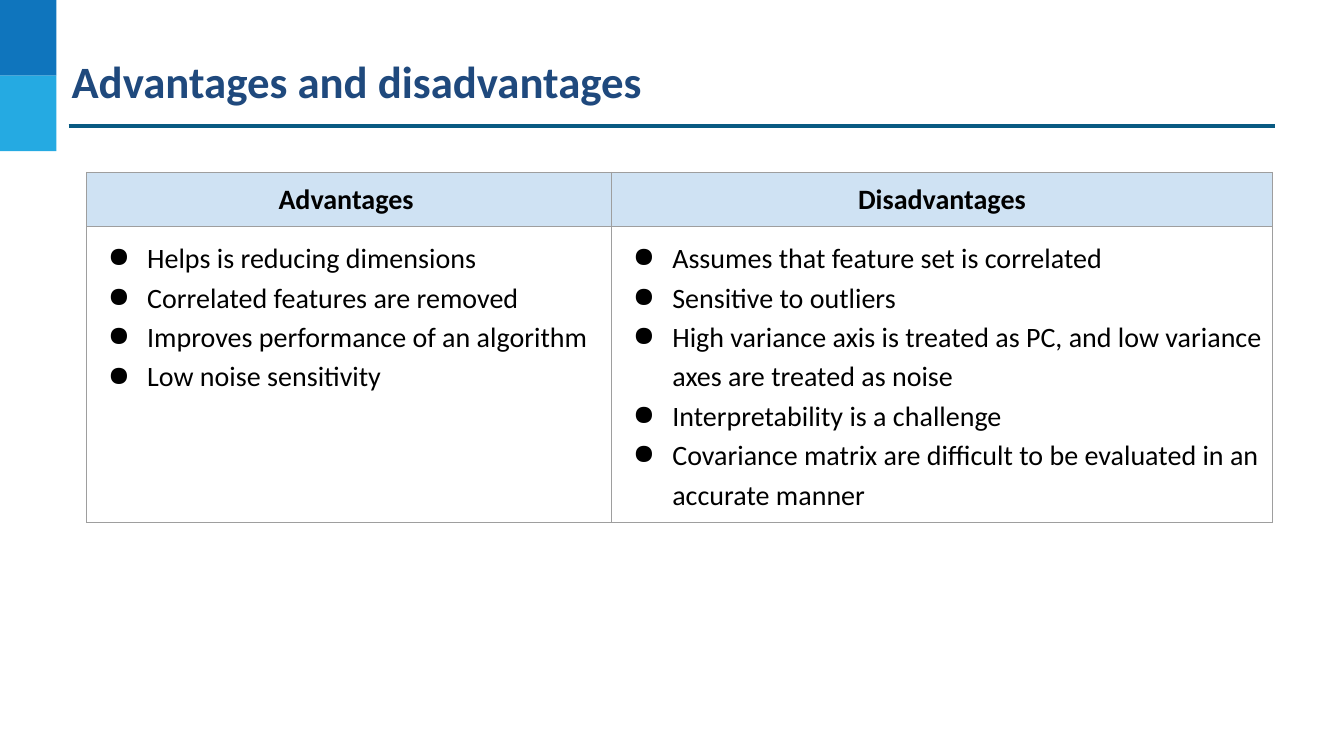
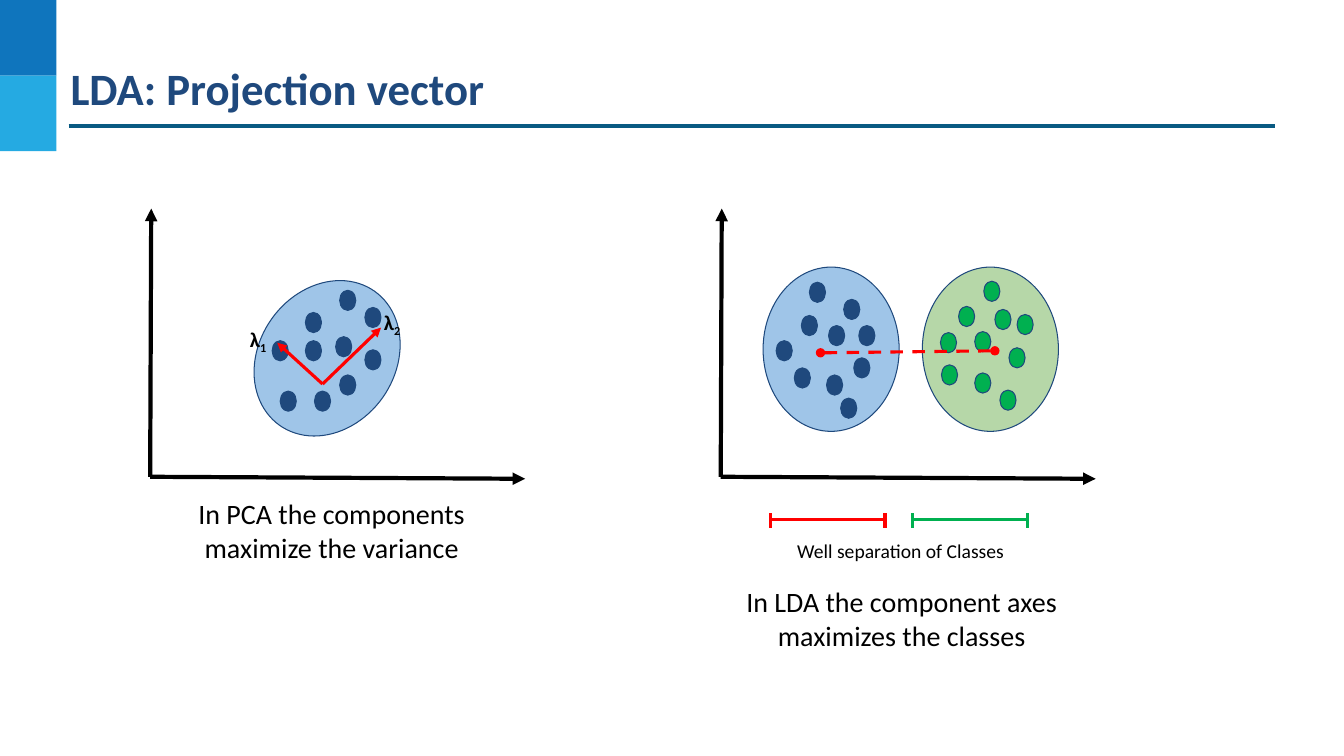
import lxml.etree
import pptx
import pptx.dml.color
import pptx.enum.dml
import pptx.enum.shapes
import pptx.enum.text
import pptx.oxml.ns
import pptx.util

COLOURS = {
    "title": "1F497D", "band_top": "0F75BD", "band_low": "25AAE2", "rule": "095A82",
    "black": "000000", "header": "CFE2F3", "border": "9E9E9E",
    "blue_class": "9FC5E8", "green_class": "B6D7A8", "red": "FF0000", "green": "00B050",
}
FONT = "Calibri"
SHAPES = pptx.enum.shapes.MSO_SHAPE
ALIGN = pptx.enum.text.PP_ALIGN
# The grid has ten columns and ten rows to the inch
CELL = pptx.util.Inches(0.1)


def grid(*lengths):
    return [round(length * CELL) for length in lengths]


def colour(name):
    return pptx.dml.color.RGBColor.from_string(COLOURS[name])


def add_xml(parent, tag, **attributes):
    return lxml.etree.SubElement(parent, pptx.oxml.ns.qn(tag), attributes)


class Deck:
    """Holds the shared style and the current page."""

    def __init__(self):
        self.deck = pptx.Presentation()
        self.deck.slide_width, self.deck.slide_height = grid(133.33, 75)
        self.page = None

    def new_page(self, title, left, top):
        self.page = self.deck.slides.add_slide(self.deck.slide_layouts[5])
        # Side bands and title rule
        for row, name in enumerate(("band_top", "band_low")):
            self.shape(SHAPES.RECTANGLE, 0, 7.5 * row, 5.6, 7.5, name)
        self.line((6.8, 12.5), (126.5, 12.5), "rule")
        box = self.page.shapes.title
        box.left, box.top, box.width, box.height = grid(left, top, 119.7, 5.4)
        self.set_text(box.text_frame, [title], 32, "title", bold=True, margin=0.2)

    def set_text(self, frame, lines, size, name="black", bold=False, align=ALIGN.LEFT,
                 margin=1, bullets=False):
        """Each line is a text, or a (text, subscript) pair."""
        frame.word_wrap = True
        frame.auto_size = pptx.enum.text.MSO_AUTO_SIZE.NONE
        frame.vertical_anchor = pptx.enum.text.MSO_ANCHOR.TOP
        (frame.margin_left, frame.margin_top,
         frame.margin_right, frame.margin_bottom) = grid(*[margin] * 4)
        for index, line in enumerate(lines):
            para = frame.add_paragraph() if index else frame.paragraphs[0]
            text, subscript = (line, None) if isinstance(line, str) else line
            para.add_run().text = text
            if subscript:
                span = para.add_run()
                span.text = subscript
                span.font._element.set("baseline", "-25000")
            para.alignment = align
            if bullets:
                self.bullet(para)
            para.font.name, para.font.size = FONT, pptx.util.Pt(size)
            para.font.bold = bold
            para.font.color.rgb = colour(name)

    def bullet(self, para):
        para.line_spacing = 1.15
        properties = para._p.get_or_add_pPr()
        indent, hang = grid(5, -3.9)
        properties.set("marL", str(indent))
        properties.set("indent", str(hang))
        add_xml(add_xml(properties, "a:buClr"), "a:srgbClr", val=COLOURS["black"])
        add_xml(properties, "a:buChar", char="●")

    def text(self, left, top, width, height, line, size, **style):
        box = self.page.shapes.add_textbox(*grid(left, top, width, height))
        self.set_text(box.text_frame, [line], size, **style)

    def shape(self, kind, left, top, width, height, fill, outline=None, turn=0):
        shape = self.page.shapes.add_shape(kind, *grid(left, top, width, height))
        shape.shadow.inherit = False
        shape.rotation = turn
        shape.fill.solid()
        shape.fill.fore_color.rgb = colour(fill)
        if outline:
            shape.line.color.rgb = colour(outline)
            shape.line.width = pptx.util.Pt(0.75)
        else:
            shape.line.fill.background()

    def line(self, start, end, name, width=2.25, head=None, tail=None, dashed=False):
        connector = self.page.shapes.add_connector(
            pptx.enum.shapes.MSO_CONNECTOR.STRAIGHT, *grid(*start, *end))
        connector.line.color.rgb = colour(name)
        connector.line.width = pptx.util.Pt(width)
        if dashed:
            connector.line.dash_style = pptx.enum.dml.MSO_LINE.DASH
        outline = connector.line._get_or_add_ln()
        for tag, kind in (("a:headEnd", head), ("a:tailEnd", tail)):
            if kind:
                add_xml(outline, tag, type=kind)
        add_xml(connector._element.spPr, "a:effectLst")

    def axes(self, left):
        origin = (left, 47.3)
        for tip in ((left + 0.1, 20.7), (left + 37.2, 47.5)):
            self.line(origin, tip, "black", 3, tail="triangle")

    def oval(self, left, top, fill, turn=0):
        self.shape(SHAPES.OVAL, left, top, 13.5, 16.3, fill, "title", turn)

    def dots(self, places, fill):
        for left, top in places:
            self.shape(SHAPES.OVAL, left, top, 1.6, 2, fill, "title")

    def interval(self, left, name, length=11.4):
        right = left + length
        self.line((left, 51.5), (right, 51.5), name)
        for end in (left, right):
            self.line((end, 50.9), (end, 52.4), name)

    def table(self, left, top, columns, rows, headings, lists):
        table = self.page.shapes.add_table(
            len(rows), len(columns),
            *grid(left, top, sum(columns), sum(rows))).table
        table.horz_banding = False
        for row, height in zip(table.rows, grid(*rows)):
            row.height = height
        for index, width in enumerate(grid(*columns)):
            table.columns[index].width = width
            header, body = table.cell(0, index), table.cell(1, index)
            self.cell(header, [headings[index]], bold=True, align=ALIGN.CENTER)
            header.fill.solid()
            header.fill.fore_color.rgb = colour("header")
            self.cell(body, lists[index], bullets=True)
            body.fill.background()

    def cell(self, cell, lines, **style):
        self.set_text(cell.text_frame, lines, 20, **style)
        (cell.margin_left, cell.margin_top,
         cell.margin_right, cell.margin_bottom) = grid(1, 1, 1, 1)
        properties = cell._tc.get_or_add_tcPr()
        for side in ("a:lnL", "a:lnR", "a:lnT", "a:lnB"):
            edge = add_xml(properties, side, w=str(pptx.util.Pt(0.75)))
            add_xml(add_xml(edge, "a:solidFill"), "a:srgbClr", val=COLOURS["border"])


def advantages_page(deck):
    deck.new_page("Advantages and disadvantages", 6.9, 5.1)
    deck.table(
        8.6, 17.1, (52.1, 65.5), (5.4, 28.8), ("Advantages ", "Disadvantages"),
        (["Helps is reducing dimensions",
          "Correlated features are removed",
          "Improves performance of an algorithm",
          "Low noise sensitivity"],
         ["Assumes that feature set is correlated",
          "Sensitive to outliers",
          "High variance axis is treated as PC, and low variance axes are treated as noise",
          "Interpretability is a challenge",
          "Covariance matrix are difficult to be evaluated in an accurate manner"]))


def projection_page(deck):
    deck.new_page("LDA: Projection vector", 6.8, 5.8)
    for left in (14.9, 71.5):
        deck.axes(left)

    # PCA: one class with its two component vectors
    deck.oval(25.7, 27.4, "blue_class", turn=35.3)
    deck.dots([(30.3, 33.8), (33.3, 33.4), (33.7, 37.2), (27.8, 38.8), (31.2, 38.8),
               (36.2, 30.5), (36.2, 34.7), (27, 33.8), (33.7, 28.8), (30.3, 31)], "title")
    for tip in ((37.8, 32.5), (27.5, 34)):
        deck.line((32, 38.1), tip, "red", tail="triangle")
    for left, top, number in ((23.8, 31.4, "1"), (37.1, 29.7, "2")):
        deck.text(left, top, 4.5, 4.5, ("λ", number), 15, bold=True)

    # LDA: two classes and the line between their centres
    deck.oval(75.7, 26.5, "blue_class")
    deck.oval(91.5, 26.5, "green_class")
    deck.dots([(80.3, 28), (83.7, 29.7), (79.5, 31.3), (82.2, 32.3), (85.2, 32.3),
               (77, 33.8), (78.8, 36.5), (82, 37.2), (84.7, 35.5), (83.4, 39.5)], "title")
    deck.dots([(97.6, 27.9), (95.1, 30.4), (100.9, 31.2), (96.7, 32.9), (100.1, 34.5),
               (93.4, 36.2), (93.3, 33), (96.7, 37), (99.2, 38.7), (98.7, 30.7)], "green")
    deck.line((81.4, 35), (98.7, 34.8), "red", head="oval", tail="oval", dashed=True)
    deck.interval(76.4, "red")
    deck.interval(90.5, "green")

    # Captions
    deck.text(13.5, 48.3, 38.8, 7.6, "In PCA the components maximize the variance", 20,
              align=ALIGN.CENTER)
    deck.text(71, 57, 36.9, 7.6, "In LDA the component axes maximizes the classes", 20,
              align=ALIGN.CENTER)
    deck.text(78.1, 52.5, 26.3, 4.4, "Well separation of Classes", 14)


def main():
    deck = Deck()
    advantages_page(deck)
    projection_page(deck)
    deck.deck.save("out.pptx")


if __name__ == "__main__":
    main()
